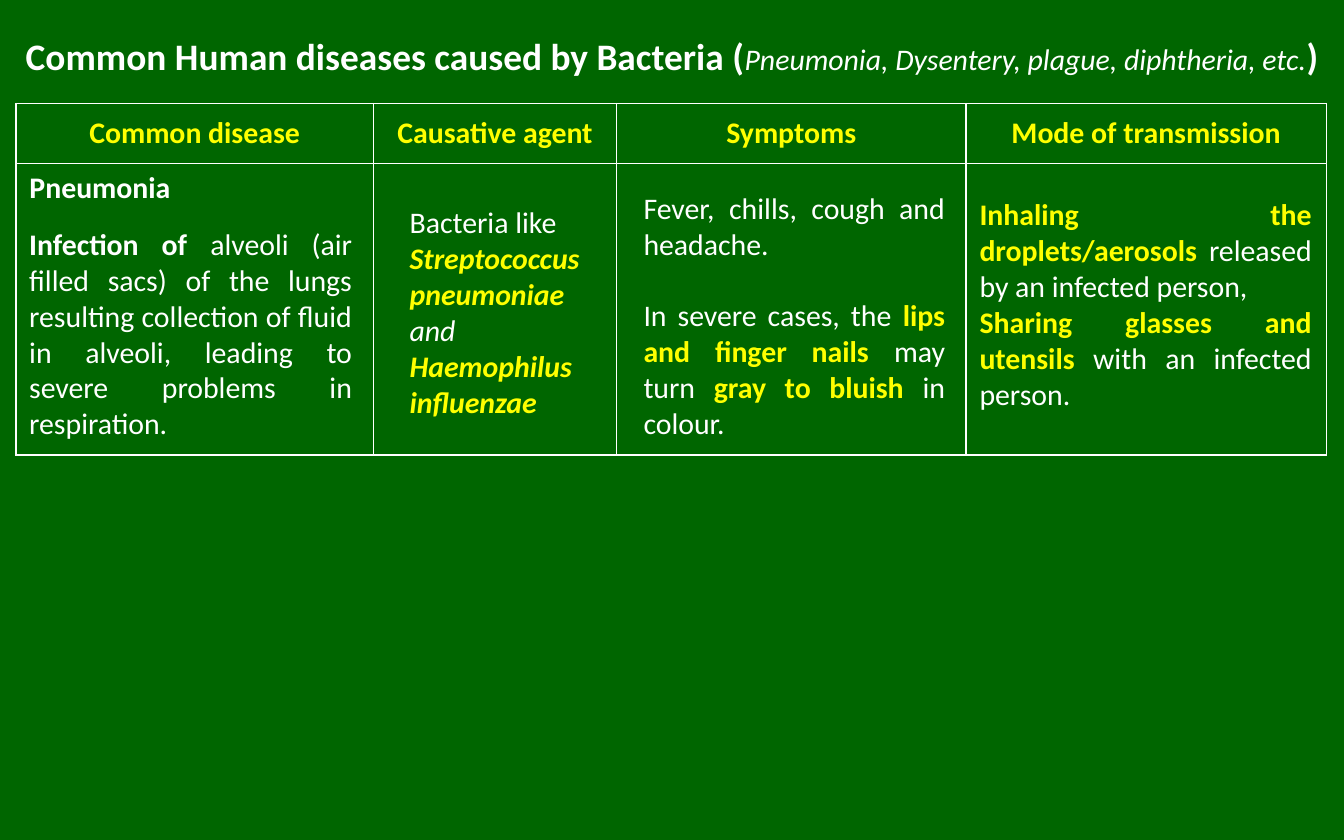
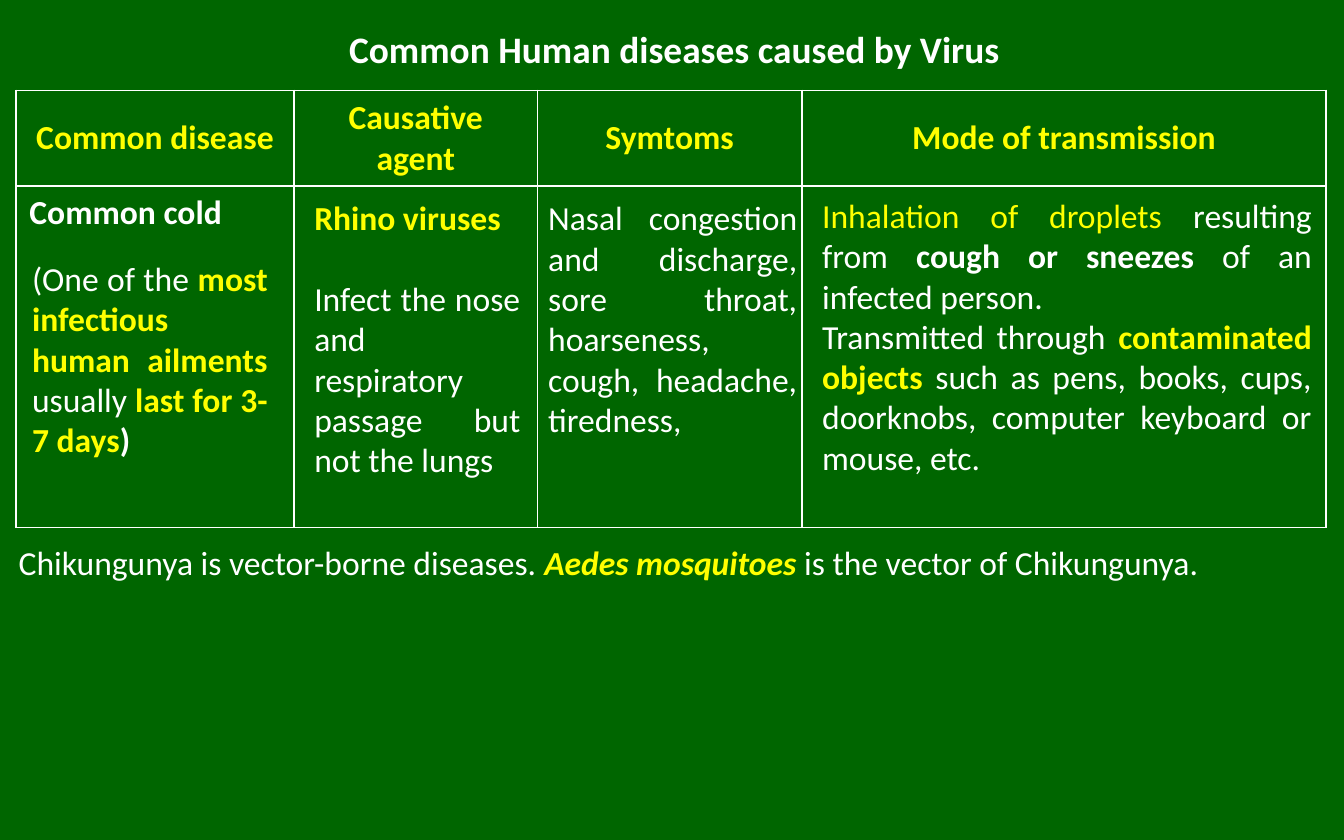
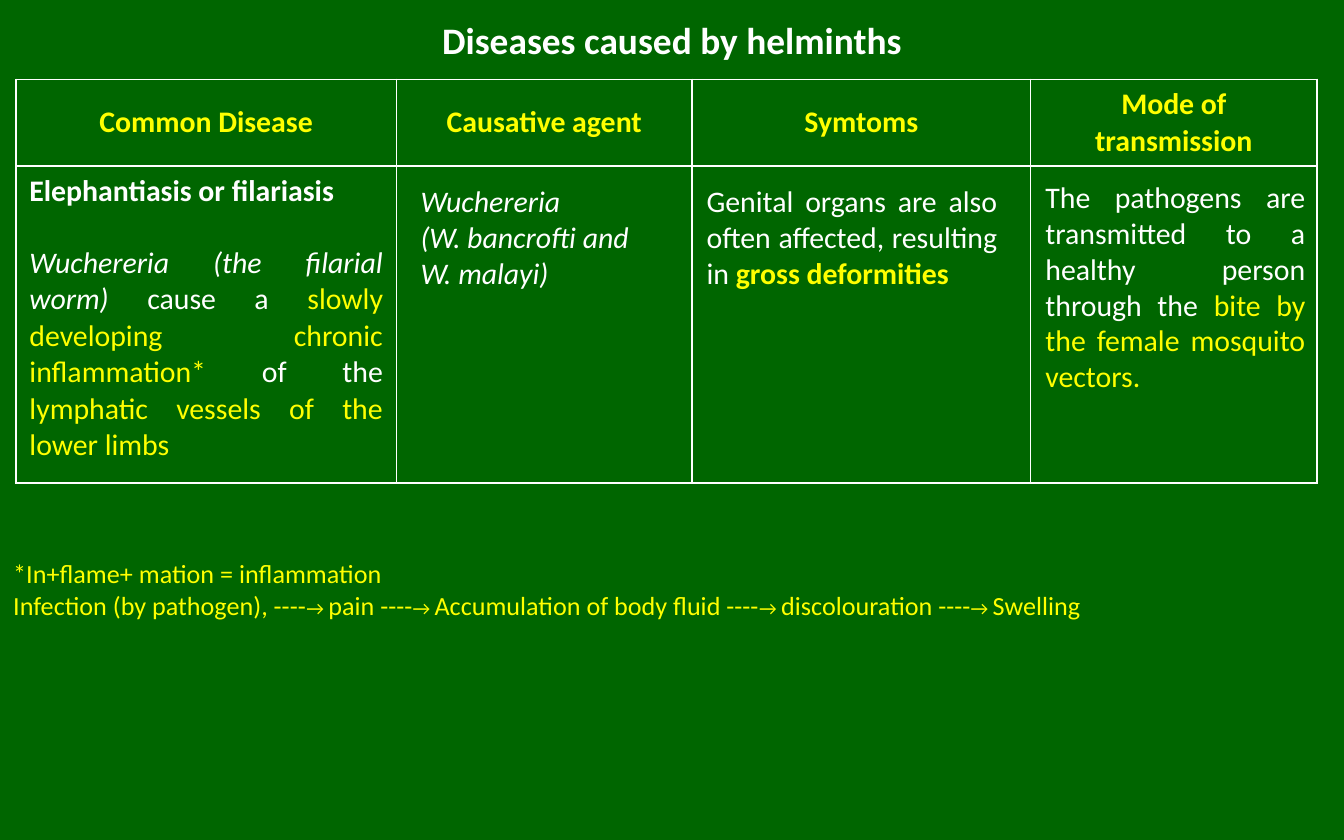
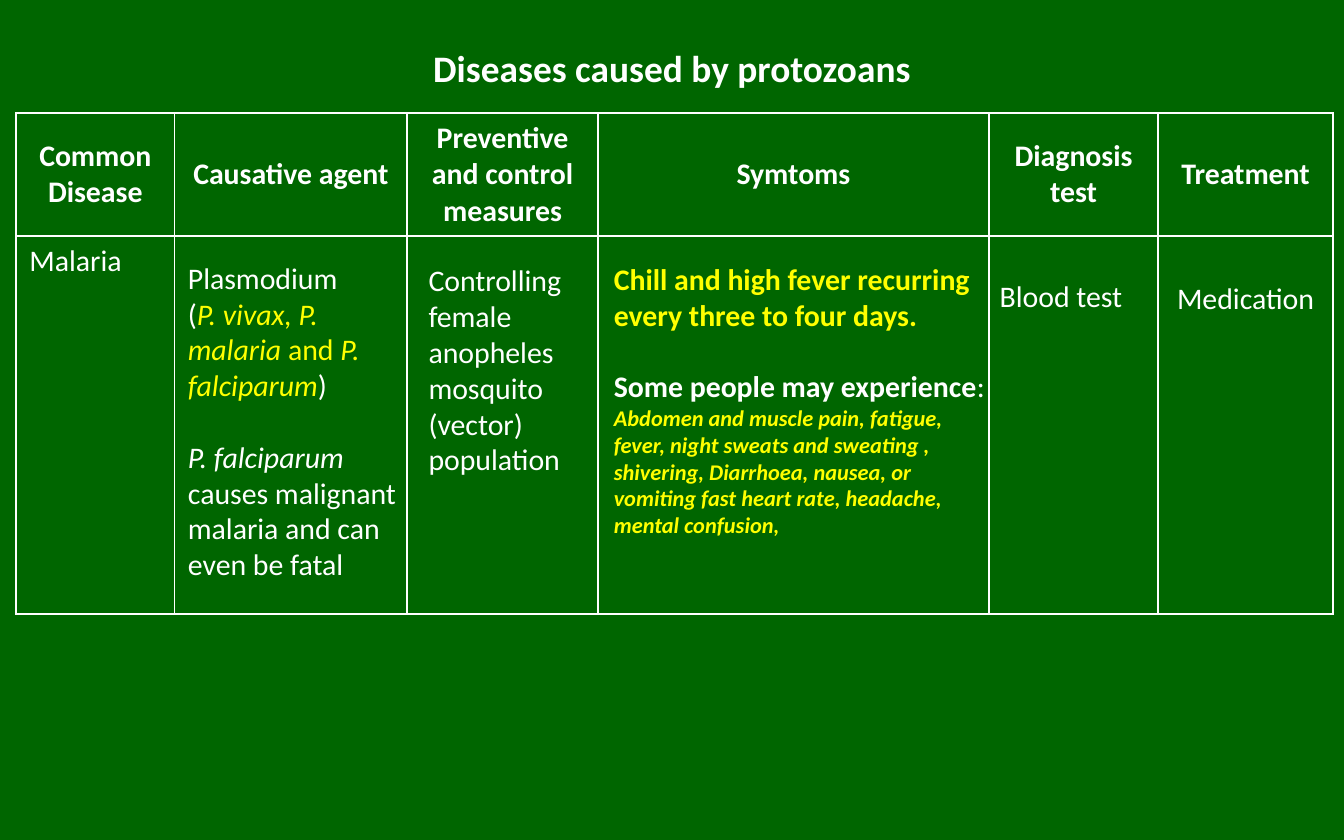
from dataclasses import dataclass
from typing import NamedTuple

from lxml import etree
from pptx import Presentation
from pptx.dml.color import RGBColor
from pptx.enum.text import MSO_ANCHOR, MSO_AUTO_SIZE, PP_ALIGN
from pptx.oxml.ns import qn
from pptx.util import Pt

LEFT = PP_ALIGN.LEFT
CENTER = PP_ALIGN.CENTER
JUST = PP_ALIGN.JUSTIFY
TOP = MSO_ANCHOR.TOP
MIDDLE = MSO_ANCHOR.MIDDLE
GROW = MSO_AUTO_SIZE.SHAPE_TO_FIT_TEXT
FIXED = MSO_AUTO_SIZE.NONE


@dataclass(frozen=True)
class Theme:
    back: str = "006600"
    plain: str = "FFFFFF"
    mark: str = "FFFF00"
    font: str = "Calibri"
    title: float = 20
    body: float = 16
    large: float = 18
    note: float = 14
    small: float = 12
    arrow: float = 10.5
    line: float = 1
    lead: float = 1.2


THEME = Theme()


class Span(NamedTuple):
    text: str
    style: str = ""
    size: float = 0


class Para(NamedTuple):
    spans: list[Span]
    gap: bool = False


class Area(NamedTuple):
    left: float
    top: float
    width: float
    height: float


class Block(NamedTuple):
    area: Area
    paras: list[Para]
    align: PP_ALIGN = LEFT
    size: float = THEME.body
    wrap: bool = True


class Grid(NamedTuple):
    top: float
    cols: list[float]
    rows: list[float]
    heads: list[str]
    first: list[Para]
    align: PP_ALIGN = LEFT
    size: float = THEME.body
    style: str = "by"


class Page(NamedTuple):
    area: Area
    title: list[Span]
    grid: Grid
    blocks: list[Block]


def write(frame, paras: list[Para], size: float, align: PP_ALIGN) -> None:
    for index, para in enumerate(paras):
        line = frame.add_paragraph() if index else frame.paragraphs[0]
        line.alignment = align
        if para.gap:
            line.space_before = Pt(size * THEME.lead)
        for span in para.spans:
            run = line.add_run()
            run.text = span.text
            font = run.font
            font.name = THEME.font
            font.size = Pt(span.size or size)
            font.bold = "b" in span.style
            font.italic = "i" in span.style
            color = THEME.mark if "y" in span.style else THEME.plain
            font.color.rgb = RGBColor.from_string(color)


def place(shape, area: Area) -> None:
    shape.left, shape.top, shape.width, shape.height = map(Pt, area)


def draw_title(slide, area: Area, spans: list[Span]) -> None:
    shape = slide.shapes.title
    place(shape, area)
    frame = shape.text_frame
    frame.auto_size = FIXED
    frame.vertical_anchor = MIDDLE
    write(frame, [Para(spans)], THEME.title, CENTER)


def frame_cell(cell) -> None:
    props = cell._tc.get_or_add_tcPr()
    for side in ("lnL", "lnR", "lnT", "lnB"):
        edge = etree.SubElement(props, qn(f"a:{side}"), w=str(Pt(THEME.line)))
        fill = etree.SubElement(edge, qn("a:solidFill"))
        etree.SubElement(fill, qn("a:srgbClr"), val=THEME.plain)
    cell.fill.background()


def draw_grid(slide, grid: Grid) -> None:
    area = Area(8.6, grid.top, sum(grid.cols), sum(grid.rows))
    table = slide.shapes.add_table(
        len(grid.rows), len(grid.cols), *map(Pt, area)).table
    table.first_row = False
    table.horz_banding = False
    for col, width in zip(table.columns, grid.cols):
        col.width = Pt(width)
    for row, height in zip(table.rows, grid.rows):
        row.height = Pt(height)
    for cell in table.iter_cells():
        frame_cell(cell)
    for index, head in enumerate(grid.heads):
        cell = table.cell(0, index)
        cell.vertical_anchor = MIDDLE
        write(cell.text_frame, [Para([Span(head, grid.style)])], grid.size, CENTER)
    write(table.cell(1, 0).text_frame, grid.first, grid.size, grid.align)


def draw_block(slide, block: Block) -> None:
    frame = slide.shapes.add_textbox(*map(Pt, block.area)).text_frame
    frame.word_wrap = block.wrap
    frame.auto_size = GROW
    frame.vertical_anchor = TOP
    write(frame, block.paras, block.size, block.align)


def steps(names: list[str]) -> list[Span]:
    spans = []
    for name in names[:-1]:
        spans += [Span(f"{name} ----", "y"), Span("→ ", "y", THEME.arrow)]
    return spans + [Span(names[-1], "y")]


BACTERIA = Page(
    Area(0, 9.4, 720, 41),
    [Span("Common Human diseases caused by Bacteria (", "b"),
     Span("Pneumonia, Dysentery, plague, diphtheria, etc.", "i", THEME.body),
     Span(")", "b")],
    Grid(55.5, [191.5, 130.3, 187.2, 193], [32.2, 156.2],
         ["Common disease", "Causative agent", "Symptoms", "Mode of transmission"],
         [Para([Span("Pneumonia", "b")])]),
    [
        Block(Area(8.6, 117.4, 187.2, 123.8), [Para([
            Span("Infection of ", "b"),
            Span("alveoli (air filled sacs) of the lungs resulting collection "
                 "of fluid in alveoli, leading to severe problems in "
                 "respiration.")])], JUST),
        Block(Area(212.4, 105.8, 124.6, 123.8), [Para([
            Span("Bacteria like "),
            Span("Streptococcus pneumoniae ", "ybi"),
            Span("and ", "i"),
            Span("Haemophilus influenzae", "ybi")])]),
        Block(Area(337.7, 97.9, 175.7, 143.3), [
            Para([Span("Fever, chills, cough and headache.")]),
            Para([Span("In severe cases, the "),
                  Span("lips and finger nails ", "yb"),
                  Span("may turn "),
                  Span("gray to bluish ", "yb"),
                  Span("in colour.")], True)], JUST),
        Block(Area(517.7, 101.5, 192.2, 123.8), [
            Para([Span("Inhaling the droplets/aerosols ", "yb"),
                  Span("released by an infected person,")]),
            Para([Span("Sharing glasses and utensils ", "yb"),
                  Span("with an infected person.")])], JUST),
    ])

VIRUS = Page(
    Area(1.4, 8.6, 720, 35.3),
    [Span("Common Human diseases caused by Virus", "b")],
    Grid(48.5, [149, 130.3, 141.8, 280.8], [50.9, 183],
         ["Common disease", "Causative agent", "Symtoms", "Mode of transmission"],
         [Para([Span("Common cold", "b")])], size=THEME.large),
    [
        Block(Area(2.9, 286.6, 699.8, 28.8), [Para([
            Span("Chikungunya is vector-borne diseases. "),
            Span("Aedes mosquitoes ", "ybi"),
            Span("is the vector of Chikungunya.")])], size=THEME.large),
        Block(Area(10.1, 134.6, 140.4, 116.6), [Para([
            Span("(One of the "),
            Span("most infectious human ailments", "yb"),
            Span(" usually "),
            Span("last for 3-7 days", "yb"),
            Span(")", "b")])], JUST, THEME.large),
        Block(Area(161.3, 102.2, 124.6, 159.8), [
            Para([Span("Rhino viruses", "yb")]),
            Para([Span("Infect the nose and respiratory passage but not the "
                       "lungs")], True)], JUST, THEME.large),
        Block(Area(286.6, 102.2, 147.6, 138.2), [Para([
            Span("Nasal congestion and discharge, sore throat, hoarseness, "
                 "cough, headache, tiredness,")])], JUST, THEME.large),
        Block(Area(433.4, 100.8, 276.5, 159.8), [
            Para([Span("Inhalation of droplets ", "y"),
                  Span("resulting from "),
                  Span("cough or sneezes ", "b"),
                  Span("of an infected person.")]),
            Para([Span("Transmitted through "),
                  Span("contaminated objects", "yb"),
                  Span(" such as pens, books, cups, doorknobs, computer "
                       "keyboard or mouse, etc.")])], JUST, THEME.large),
    ])

WORMS = Page(
    Area(36, 3.6, 648, 35.3),
    [Span("Diseases caused by helminths", "b")],
    Grid(42.5, [203.8, 158.4, 181.4, 153.4], [46.3, 170],
         ["Common Disease", "Causative agent", "Symtoms", "Mode of transmission"],
         [Para([Span("Elephantiasis or filariasis", "b")]),
          Para([Span("Wuchereria (the filarial worm) ", "i"),
                Span("cause a "),
                Span("slowly developing chronic inflammation*", "y"),
                Span(" of the "),
                Span("lymphatic vessels of the lower limbs", "y")], True)],
         JUST),
    [
        Block(Area(218.2, 94.3, 141.8, 65.5), [
            Para([Span("Wuchereria", "i")]),
            Para([Span("(W. bancrofti and W. malayi)", "i")])]),
        Block(Area(371.5, 94.3, 169.9, 85), [Para([
            Span("Genital organs are also often affected, resulting in "),
            Span("gross deformities", "yb")])], JUST),
        Block(Area(553, 92.2, 153.4, 123.8), [Para([
            Span("The pathogens are transmitted to a healthy person through "
                 "the "),
            Span("bite by the female mosquito vectors.", "y")])], JUST),
        Block(Area(0, 295.2, 604.1, 41), [
            Para([Span("*In+flame+ mation = inflammation", "y")]),
            Para(steps(["Infection (by pathogen),", "pain",
                        "Accumulation of body fluid", "discolouration",
                        "Swelling"]))], size=THEME.note),
    ])

PROTOS = Page(
    Area(36, -1.4, 648, 74.9),
    [Span("Diseases caused by protozoans", "b")],
    Grid(60.5, [85, 124.6, 102.2, 209.5, 90.7, 93.6], [65.9, 202.4],
         ["Common Disease", "Causative agent", "Preventive and control measures",
          "Symtoms", "Diagnosis test", "Treatment"],
         [Para([Span("Malaria")])], style="b"),
    [
        Block(Area(93.6, 135.4, 136.1, 181.4), [
            Para([Span("Plasmodium")]),
            Para([Span("("),
                  Span("P. vivax, P. malaria ", "yi"),
                  Span("and ", "y"),
                  Span("P. falciparum", "yi"),
                  Span(")")]),
            Para([Span("P. falciparum ", "i"),
                  Span("causes malignant malaria and can even be fatal")],
                 True)]),
        Block(Area(222.5, 136.8, 92.2, 123.8), [Para([
            Span("Controlling female anopheles mosquito (vector) "
                 "population")])]),
        Block(Area(321.8, 136.1, 213.8, 162.7), [
            Para([Span("Chill and high fever recurring every three to four "
                       "days.", "yb")]),
            Para([Span("Some people may experience", "b"),
                  Span(": "),
                  Span("Abdomen and muscle pain, fatigue, fever, night sweats "
                       "and sweating , shivering, Diarrhoea, nausea, or "
                       "vomiting fast heart rate, headache, mental confusion,",
                       "ybi", THEME.small)], True)]),
        Block(Area(528.5, 145.4, 81.4, 26.6), [Para([Span("Blood test")])],
              wrap=False),
        Block(Area(623.5, 146.2, 88.6, 26.6), [Para([Span("Medication")])],
              wrap=False),
    ])


def main() -> None:
    deck = Presentation()
    deck.slide_width = Pt(720)
    deck.slide_height = Pt(450)
    fill = deck.slide_master.background.fill
    fill.solid()
    fill.fore_color.rgb = RGBColor.from_string(THEME.back)
    layout = deck.slide_layouts.get_by_name("Title Only")
    for page in (BACTERIA, VIRUS, WORMS, PROTOS):
        slide = deck.slides.add_slide(layout)
        draw_title(slide, page.area, page.title)
        draw_grid(slide, page.grid)
        for block in page.blocks:
            draw_block(slide, block)
    deck.save("out.pptx")


if __name__ == "__main__":
    main()
